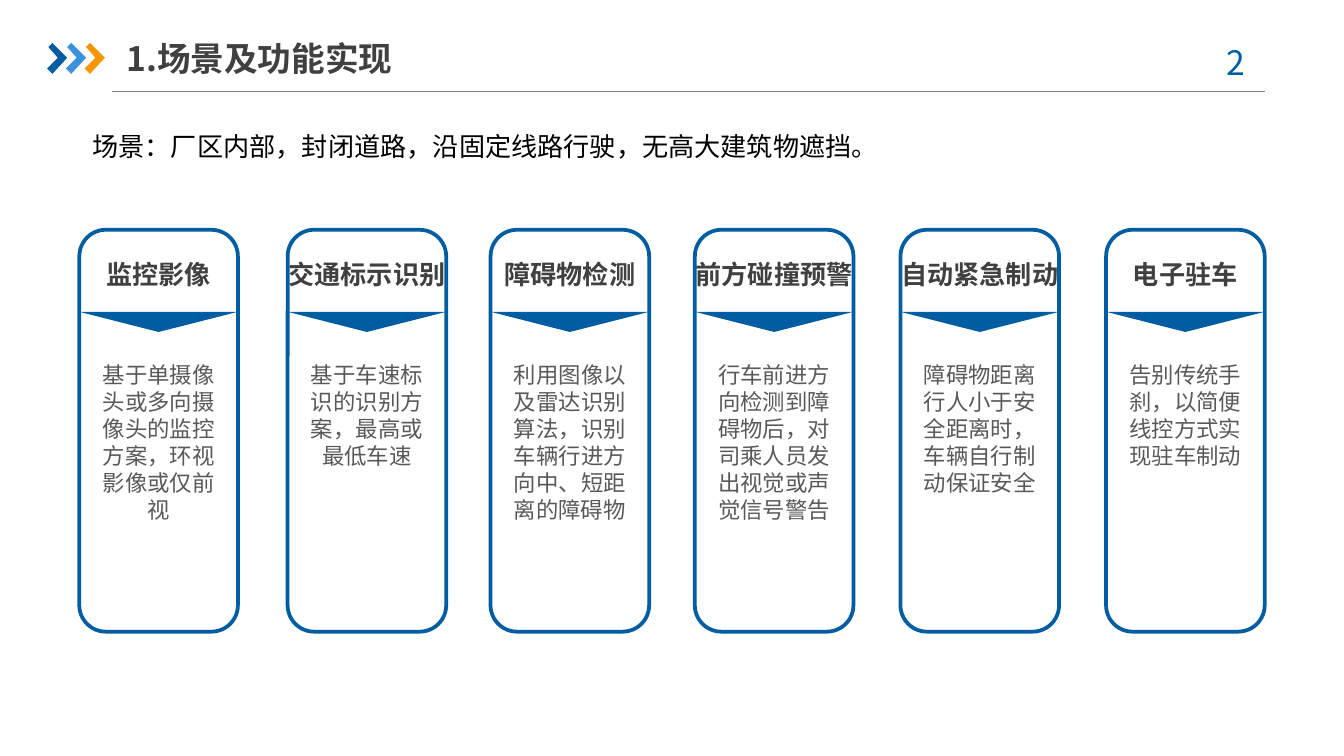
import pptx
import pptx.dml.color
import pptx.enum.shapes
import pptx.enum.text
import pptx.oxml
import pptx.oxml.ns
import pptx.util

Inches = pptx.util.Inches
Pt = pptx.util.Pt
SHAPE = pptx.enum.shapes.MSO_SHAPE
ALIGN = pptx.enum.text.PP_ALIGN
ANCHOR = pptx.enum.text.MSO_ANCHOR

BLUE, SKY, ORANGE = "005DA2", "3992DB", "F79600"
DARK, GRAY, RULE, BLACK = "404040", "595959", "808080", "000000"


def color(value):
    return pptx.dml.color.RGBColor.from_string(value)


class Deck:
    font = "Noto Sans CJK SC"
    line_ratio = 1.2

    def __init__(self, prs):
        self.s = prs.slides.add_slide(prs.slide_layouts[6])

    def text(self, x, y, w, h, words, size, fill, bold=False,
             align=ALIGN.LEFT, anchor=ANCHOR.TOP, inset=0.1):
        sp = self.s.shapes.add_textbox(Inches(x), Inches(y), Inches(w), Inches(h))
        tf = sp.text_frame
        tf.word_wrap = True
        tf.vertical_anchor = anchor
        tf.margin_left = tf.margin_right = Inches(inset)
        p = tf.paragraphs[0]
        p.alignment = align
        p.line_spacing = Pt(size * self.line_ratio)
        r = p.add_run()
        r.text = words
        r.font.name = self.font
        r.font.size = Pt(size)
        r.font.bold = bold
        r.font.color.rgb = color(fill)
        ea = pptx.oxml.parse_xml(
            f'<a:ea {pptx.oxml.ns.nsdecls("a")} typeface="{self.font}"/>')
        r.font._element.find(pptx.oxml.ns.qn("a:latin")).addnext(ea)

    def shape(self, kind, x, y, w, h, fill=None, line=None):
        sp = self.s.shapes.add_shape(kind, Inches(x), Inches(y), Inches(w), Inches(h))
        self.paint(sp, fill, line)

    def polygon(self, points, fill):
        pts = [(Inches(x), Inches(y)) for x, y in points]
        builder = self.s.shapes.build_freeform(*pts[0], scale=1.0)
        builder.add_line_segments(pts[1:], close=True)
        self.paint(builder.convert_to_shape(), fill)

    def paint(self, sp, fill=None, line=None):
        sp.shadow.inherit = False
        if fill:
            sp.fill.solid()
            sp.fill.fore_color.rgb = color(fill)
        else:
            sp.fill.background()
        if line:
            sp.line.color.rgb = color(line)
            sp.line.width = Pt(2)
        else:
            sp.line.fill.background()

    def rule(self, x1, x2, y):
        sp = self.s.shapes.add_connector(
            pptx.enum.shapes.MSO_CONNECTOR.STRAIGHT,
            Inches(x1), Inches(y), Inches(x2), Inches(y))
        sp.line.color.rgb = color(RULE)
        sp.line.width = Pt(0.75)
        sp._element.spPr.append(pptx.oxml.parse_xml(
            f'<a:effectLst {pptx.oxml.ns.nsdecls("a")}/>'))

    def chevron(self, x, fill):
        outline = [(0.01, 0.35), (0.04, 0.32), (0.15, 0.43),
                   (0.04, 0.55), (0, 0.51), (0.08, 0.43)]
        self.polygon([(x + dx, y) for dx, y in outline], fill)

    def card(self, x, heading, heading_w, body, body_h):
        w = 1.18
        self.text(x + (w - heading_w) / 2, 1.87, heading_w, 0.34, heading,
                  14, DARK, bold=True, align=ALIGN.CENTER)
        self.text(x, 2.64, w, body_h, body, 12, GRAY, align=ALIGN.CENTER)
        self.shape(SHAPE.FLOWCHART_MERGE, x, 2.32, w, 0.15, fill=BLUE)
        self.shape(SHAPE.ROUNDED_RECTANGLE, x, 1.71, w, 2.99, line=BLUE)


CARDS = [
    (0.59, "监控影像", 1.43, "基于单摄像头或多向摄像头的监控方案，环视影像或仅前视", 1.31),
    (2.14, "交通标示识别", 1.68, "基于车速标识的识别方案，最高或最低车速", 1.11),
    (3.65, "障碍物检测", 1.57, "利用图像以及雷达识别算法，识别车辆行进方向中、短距离的障碍物", 1.31),
    (5.17, "前方碰撞预警", 1.68, "行车前进方向检测到障碍物后，对司乘人员发出视觉或声觉信号警告", 1.31),
    (6.7, "自动紧急制动", 1.68, "障碍物距离行人小于安全距离时，车辆自行制动保证安全", 1.11),
    (8.23, "电子驻车", 1.26, "告别传统手刹，以简便线控方式实现驻车制动", 0.91),
]


def main():
    prs = pptx.Presentation()
    prs.slide_width = Inches(10)
    prs.slide_height = Inches(10 * 9 / 16)
    deck = Deck(prs)

    deck.rule(0.83, 9.41, 0.68)
    for i, fill in enumerate([BLUE, SKY, ORANGE]):
        deck.chevron(0.35 + 0.14 * i, fill)
    deck.text(8.86, 0.26, 0.73, 0.4, "2 ", 18, BLUE, align=ALIGN.CENTER)
    deck.text(0.94, 0.22, 2.33, 0.42, "1.场景及功能实现", 18, DARK,
              bold=True, anchor=ANCHOR.MIDDLE, inset=0)
    deck.text(0.59, 0.92, 8.9, 0.34,
              "场景：厂区内部，封闭道路，沿固定线路行驶，无高大建筑物遮挡。", 14, BLACK)
    for card in CARDS:
        deck.card(*card)

    prs.save("out.pptx")


if __name__ == "__main__":
    main()
